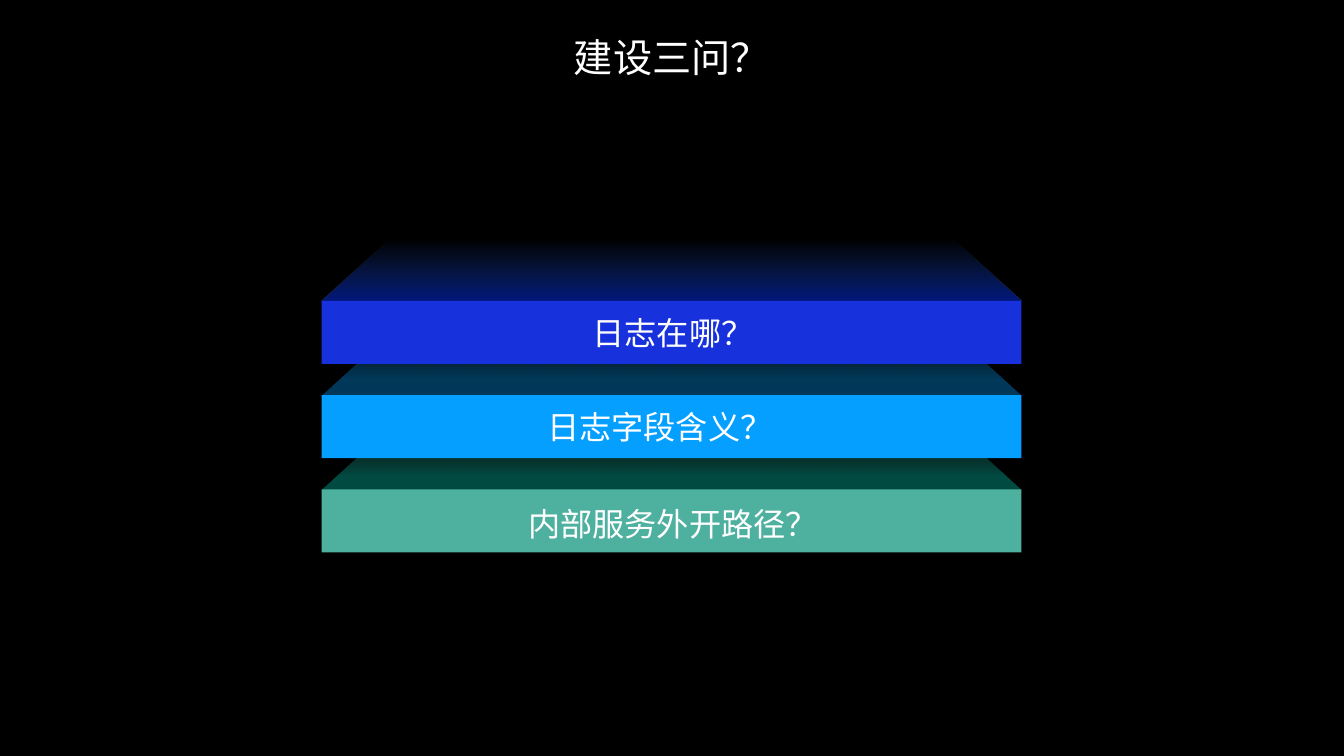
from lxml import etree
from pptx import Presentation
from pptx.dml.color import RGBColor
from pptx.enum import shapes, text
from pptx.oxml.ns import qn
from pptx.util import Inches, Pt

WHITE = RGBColor(0xFF, 0xFF, 0xFF)
BLACK = RGBColor(0, 0, 0)
BLUE = RGBColor(0x17, 0x32, 0xDC)
SKY = RGBColor(0x05, 0x9F, 0xFF)
GREEN = RGBColor(0x4E, 0xB0, 0x9F)
FONT = "Lato"

# Content
TITLE = "建设三问？"
# Question, bar colour, lid fade from front to back as (stop %, colour, opacity %),
# label width, label shift right and down
LAYERS = [
    ("日志在哪？", BLUE, [(0, "0433FF", 49), (100, "296CF5", 0)], 4.61, 0.02, 0),
    ("日志字段含义？", SKY, [(28, "059FFF", 35), (100, "35B7FF", 0)], 7.56, -0.24, 0),
    ("内部服务外开路径？", GREEN, [(21, "02D7BF", 35), (100, "5AC6B0", 0)], 8.54, 0.02, 0.06),
]

# Layout in inches
W, H = 26.67, 15
WIDE, TALL = 13.89, 1.25
LEFT = (W - WIDE) / 2 - 0.01
TOP, STEP = 5.97, 1.87
LID, SLANT = 1.23, 1.37
LABEL = 0.98


def child(node, tag, **attrs):
    return etree.SubElement(node, qn(tag), attrs)


def write(slide, words, x, y, w, h, size, pad=0.02, shade=False):
    box = slide.shapes.add_textbox(*map(Inches, (x, y, w, h)))
    frame = box.text_frame
    frame.word_wrap = True
    frame.vertical_anchor = text.MSO_ANCHOR.MIDDLE
    frame.margin_left = frame.margin_right = Inches(pad)
    frame.margin_top = frame.margin_bottom = Inches(pad)
    para = frame.paragraphs[0]
    para.alignment = text.PP_ALIGN.CENTER
    run = para.add_run()
    run.text = words
    run.font.size = Pt(size)
    run.font.color.rgb = WHITE
    if shade:
        effect = child(run.font._element, "a:effectLst")
        drop = child(effect, "a:outerShdw", blurRad="50800", dist="38100", dir="2700000")
        tint = child(drop, "a:srgbClr", val="000000")
        child(tint, "a:alpha", val="50000")
    run.font.name = FONT


def fade(shape, stops):
    shape.fill.gradient()
    shape.fill.gradient_angle = 90
    grad = shape._element.spPr.find(qn("a:gradFill"))
    line = grad.find(qn("a:gsLst"))
    for old in list(line):
        line.remove(old)
    for pos, hue, alpha in stops:
        stop = child(line, "a:gs", pos=str(pos * 1000))
        tint = child(stop, "a:srgbClr", val=hue)
        child(tint, "a:alpha", val=str(alpha * 1000))


def plain(shape):
    shape.shadow.inherit = False
    shape.line.fill.background()


def layer(slide, y, hue, stops):
    # Sloping lid
    right = LEFT + WIDE
    pts = [(LEFT + SLANT, y - LID), (right - SLANT, y - LID), (right, y), (LEFT, y)]
    pts = [(Inches(a), Inches(b)) for a, b in pts]
    form = slide.shapes.build_freeform(*pts[0], scale=1.0)
    form.add_line_segments(pts[1:], close=True)
    lid = form.convert_to_shape()
    plain(lid)
    fade(lid, stops)
    # Front bar
    bar = slide.shapes.add_shape(shapes.MSO_SHAPE.RECTANGLE,
                                 *map(Inches, (LEFT, y, WIDE, TALL)))
    plain(bar)
    bar.fill.solid()
    bar.fill.fore_color.rgb = hue


def main():
    deck = Presentation()
    deck.slide_width, deck.slide_height = Inches(W), Inches(H)
    slide = deck.slides.add_slide(deck.slide_layouts[6])
    slide.background.fill.solid()
    slide.background.fill.fore_color.rgb = BLACK

    # Title
    write(slide, TITLE, (W - 11.11) / 2, 0.55, 11.11, 1.14, 56, pad=0.1)

    # Stack of layers, lowest first
    for row, (words, hue, stops, w, dx, dy) in reversed(list(enumerate(LAYERS))):
        y = TOP + row * STEP
        layer(slide, y, hue, stops)
        write(slide, words, (W - w) / 2 + dx, y + (TALL - LABEL) / 2 + dy,
              w, LABEL, 46, shade=True)

    deck.save("out.pptx")


if __name__ == "__main__":
    main()
